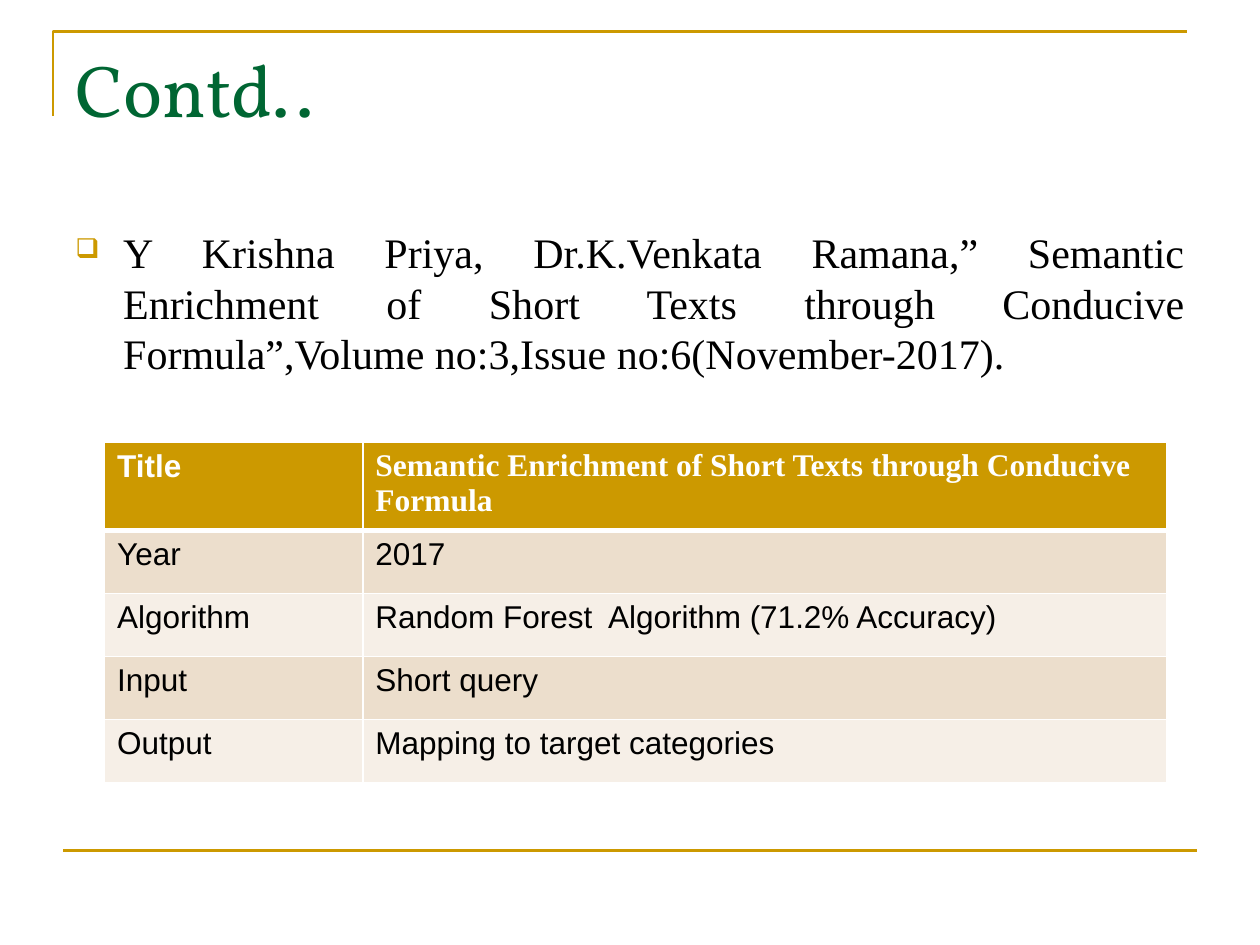
from pptx import Presentation
from pptx.dml.color import RGBColor
from pptx.enum.text import MSO_ANCHOR, PP_ALIGN
from pptx.oxml import parse_xml
from pptx.oxml.ns import nsdecls
from pptx.util import Inches, Pt

GOLD = RGBColor(0xCC, 0x99, 0x00)
GREEN = RGBColor(0x00, 0x66, 0x33)
BLACK = RGBColor(0x00, 0x00, 0x00)
WHITE = RGBColor(0xFF, 0xFF, 0xFF)
BANDS = [RGBColor(0xF6, 0xEF, 0xE7), RGBColor(0xEC, 0xDE, 0xCC)]

prs = Presentation()
prs.slide_width, prs.slide_height = Inches(10), Inches(7.5)
slide = prs.slides.add_slide(prs.slide_layouts[6])
margin = Inches(0.5)
content_width = prs.slide_width - 2 * margin


def add_text(paragraph, text, font, size, color, bold=False):
    run = paragraph.add_run()
    run.text = text
    run.font.name, run.font.size, run.font.bold = font, Pt(size), bold
    run.font.color.rgb = color


def add_box(top, height):
    frame = slide.shapes.add_textbox(margin, Inches(top), content_width, Inches(height)).text_frame
    frame.word_wrap = True
    frame.vertical_anchor = MSO_ANCHOR.TOP
    return frame.paragraphs[0]


# Corner rule above the title
builder = slide.shapes.build_freeform(Inches(0.42), Inches(0.92))
builder.add_line_segments([(Inches(0.42), Inches(0.25)), (Inches(9.42), Inches(0.25))], close=False)
corner = builder.convert_to_shape()
corner.shadow.inherit = False
corner.fill.background()

# Rule at the foot
foot_y = prs.slide_height * 9 // 10
foot = slide.shapes.add_connector(1, margin, foot_y, margin + content_width, foot_y)
foot._element.spPr.append(parse_xml(f"<a:effectLst {nsdecls('a')}/>"))
for rule in (corner, foot):
    rule.line.color.rgb = GOLD
    rule.line.width = Pt(1.5)

# Title
add_text(add_box(0.3, 1.25), "Contd..", "Vollkorn", 42, GREEN)

# Reference with a square bullet
reference = add_box(1.75, 4.95)
reference.alignment = PP_ALIGN.JUSTIFY
reference.space_before = Pt(4.8)
add_text(reference,
         "Y Krishna Priya, Dr.K.Venkata Ramana,” Semantic Enrichment of Short Texts "
         "through Conducive Formula”,Volume no:3,Issue no:6(November-2017).",
         "Times New Roman", 24, BLACK)
props = reference._p.get_or_add_pPr()
props.set("marL", str(Inches(0.38)))
props.set("indent", str(-Inches(0.38)))
for bullet_part in (f'<a:buClr {nsdecls("a")}><a:srgbClr val="{GOLD}"/></a:buClr>',
                    f'<a:buSzPct {nsdecls("a")} val="65000"/>',
                    f'<a:buChar {nsdecls("a")} char="❑"/>'):
    props.append(parse_xml(bullet_part))

# Summary of the paper
facts = [
    ("Title", "Semantic Enrichment of Short Texts through Conducive Formula"),
    ("Year", "2017"),
    ("Algorithm", "Random Forest  Algorithm (71.2% Accuracy)"),
    ("Input", "Short query"),
    ("Output", "Mapping to target categories"),
]
column_widths = [2.05, 6.38]
row_heights = [0.65] + [0.5] * (len(facts) - 1)
summary = slide.shapes.add_table(len(facts), 2, Inches(0.83), Inches(3.51),
                                 Inches(sum(column_widths)), Inches(sum(row_heights))).table
for column, width in zip(summary.columns, column_widths):
    column.width = Inches(width)

for r, (fact, height) in enumerate(zip(facts, row_heights)):
    summary.rows[r].height = Inches(height)
    header = r == 0
    for c, text in enumerate(fact):
        cell = summary.cell(r, c)
        font = "Times New Roman" if header and c == 1 else "Arial"
        add_text(cell.text_frame.paragraphs[0], text, font, 18, WHITE if header else BLACK, header)
        cell.fill.solid()
        cell.fill.fore_color.rgb = GOLD if header else BANDS[r % 2]
        # White borders, thicker between header and body
        edges = {"lnL": 1, "lnR": 1, "lnT": 3 if r == 1 else 1, "lnB": 3 if header else 1}
        for i, (edge, points) in enumerate(edges.items()):
            cell._tc.get_or_add_tcPr().insert(i, parse_xml(
                f'<a:{edge} {nsdecls("a")} w="{Pt(points)}"><a:solidFill>'
                f'<a:srgbClr val="{WHITE}"/></a:solidFill></a:{edge}>'))

prs.save("out.pptx")
